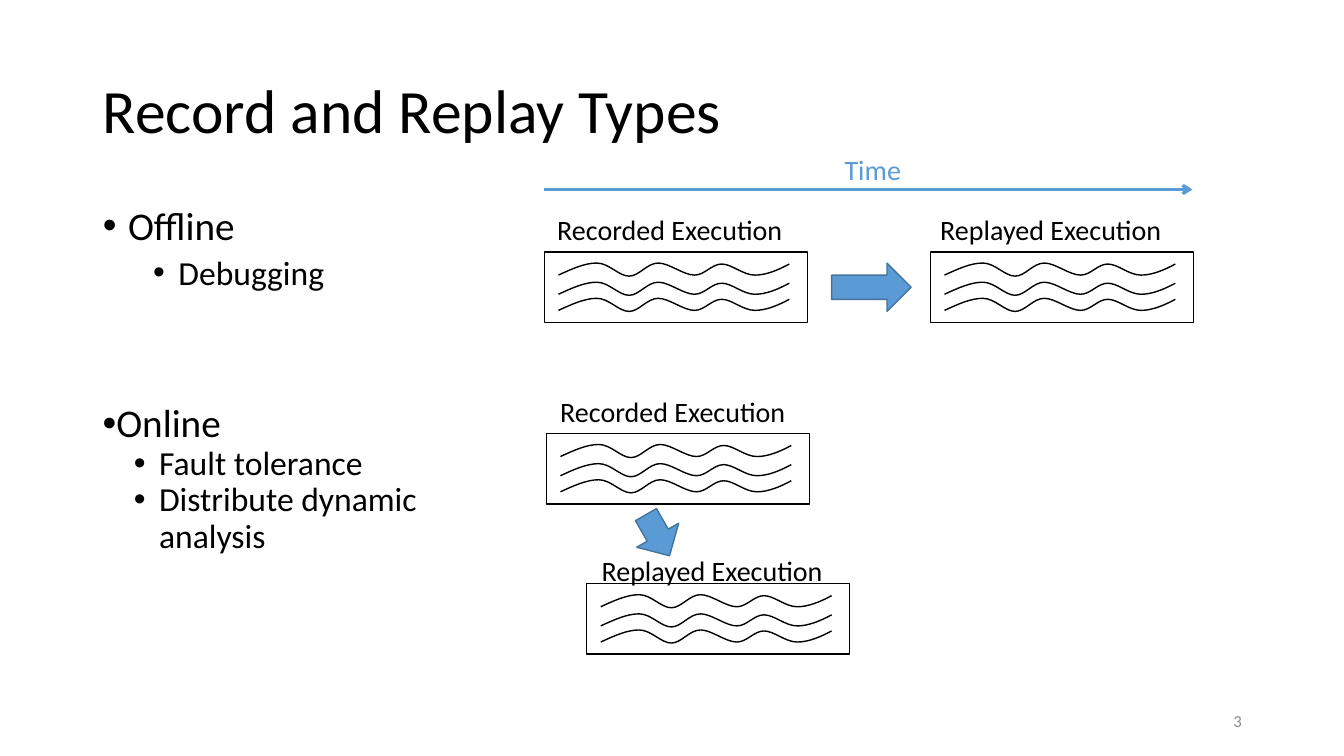
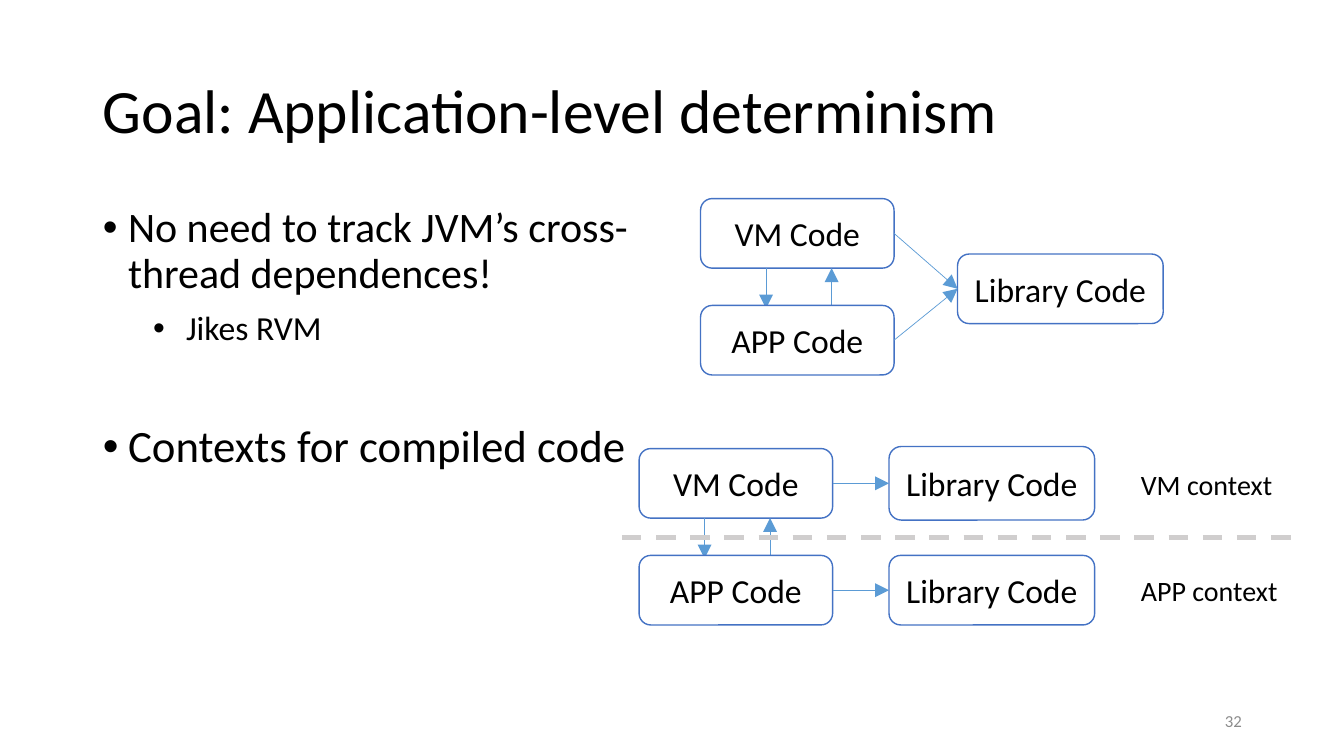
from dataclasses import dataclass
from itertools import chain
from typing import Optional

from lxml.etree import SubElement
from pptx import Presentation
from pptx.dml.color import RGBColor
from pptx.enum.dml import MSO_LINE
from pptx.enum.shapes import MSO_CONNECTOR, MSO_SHAPE
from pptx.enum.text import MSO_ANCHOR, MSO_AUTO_SIZE, PP_ALIGN
from pptx.oxml.ns import qn
from pptx.util import Inches, Pt


@dataclass(frozen=True)
class Theme:
    font: str = "Calibri"
    text: str = "000000"
    white: str = "FFFFFF"
    accent: str = "5B9BD5"
    accent_edge: str = "43739E"
    box_edge: str = "4472C4"
    divider: str = "D0CECE"
    muted: str = "8C8C8C"
    title: int = 44
    box: int = 24
    label: int = 20
    number: int = 12


@dataclass(frozen=True)
class Bullet:
    text: str
    size: int
    margin: float
    level: int = 0
    before: float = 0


@dataclass(frozen=True)
class Execution:
    label: str
    left: float
    top: float
    label_dx: float
    label_dy: float = -0.44


@dataclass(frozen=True)
class CodeBox:
    text: str
    left: float
    top: float
    width: float = 1.92
    height: float = 0.69


THEME = Theme()
# One wave: a start point, then Bezier segments, relative to its frame
WAVE_START = (0.14, 0.23)
WAVE = [
    ((0.27, 0.17), (0.40, 0.11), (0.52, 0.11)),
    ((0.64, 0.11), (0.74, 0.24), (0.84, 0.24)),
    ((0.94, 0.24), (1.02, 0.11), (1.13, 0.11)),
    ((1.24, 0.11), (1.38, 0.23), (1.49, 0.23)),
    ((1.59, 0.23), (1.66, 0.12), (1.76, 0.12)),
    ((1.86, 0.12), (1.97, 0.23), (2.09, 0.23)),
    ((2.20, 0.23), (2.32, 0.18), (2.43, 0.12)),
]
WAVE_OFFSETS = (0, 0.19, 0.35)


# Text
def add_text(p, text: str, *, size: float, color: str = THEME.text,
             align=PP_ALIGN.LEFT, spacing: Optional[float] = None) -> None:
    p.alignment = align
    if spacing:
        p.line_spacing = spacing
    r = p.add_run()
    r.text = text
    r.font.name, r.font.size = THEME.font, Pt(size)
    r.font.color.rgb = RGBColor.from_string(color)


def add_bullets(tf, bullets: list[Bullet]) -> None:
    for i, b in enumerate(bullets):
        p = tf.add_paragraph() if i else tf.paragraphs[0]
        p.level = b.level
        add_text(p, b.text, size=b.size, spacing=0.9)
        p.space_before = Pt(b.before)
        pPr = p._p.get_or_add_pPr()
        pPr.set("marL", str(Inches(b.margin)))
        pPr.set("indent", str(Inches(-0.25)))
        SubElement(pPr, qn("a:buFont")).set("typeface", "Arial")
        SubElement(pPr, qn("a:buChar")).set("char", "•")


def add_box(s, left: float, top: float, width: float, height: float):
    tf = s.shapes.add_textbox(Inches(left), Inches(top),
                              Inches(width), Inches(height)).text_frame
    tf.word_wrap = True
    return tf


def add_label(s, text: str, left: float, top: float, width: float,
              color: str = THEME.text) -> None:
    tf = add_box(s, left, top, width, 0.44)
    tf.auto_size = MSO_AUTO_SIZE.SHAPE_TO_FIT_TEXT
    add_text(tf.paragraphs[0], text, size=THEME.label, color=color)


# Shapes and lines
def add_preset(shapes, kind, left: float, top: float, width: float, height: float,
               *, edge: str, fill: Optional[str] = None):
    sp = shapes.add_shape(kind, Inches(left), Inches(top),
                          Inches(width), Inches(height))
    style_outline(sp, edge, fill)
    return sp


def style_outline(sp, edge: str, fill: Optional[str] = None) -> None:
    sp.shadow.inherit = False
    if fill:
        sp.fill.solid()
        sp.fill.fore_color.rgb = RGBColor.from_string(fill)
    else:
        sp.fill.background()
    sp.line.color.rgb = RGBColor.from_string(edge)
    sp.line.width = Pt(1)


def add_line(s, start: tuple[float, float], end: tuple[float, float], *,
             width: float = 0.5, color: str = THEME.accent,
             tip: Optional[str] = "triangle", tip_size: str = "lg",
             dashed: bool = False):
    c = s.shapes.add_connector(MSO_CONNECTOR.STRAIGHT,
                               *(Inches(v) for v in (*start, *end)))
    c.line.color.rgb = RGBColor.from_string(color)
    c.line.width = Pt(width)
    if dashed:
        c.line.dash_style = MSO_LINE.DASH
    spPr = c._element.spPr
    if tip:
        end_mark = SubElement(spPr.find(qn("a:ln")), qn("a:tailEnd"))
        for key, value in (("type", tip), ("w", tip_size), ("len", tip_size)):
            end_mark.set(key, value)
    SubElement(spPr, qn("a:effectLst"))
    return c


def link(s, source, target) -> None:
    """Join the right side of source to the left side of target."""
    c = add_line(s, (0, 0), (1, 1))
    c.begin_connect(source, 3)
    c.end_connect(target, 1)


# Parts of the diagrams
def curve_segments(sp) -> None:
    """Turn each three straight segments into one Bezier segment."""
    outline = next(sp._element.iter(qn("a:path" )))
    lines = outline.findall(qn("a:lnTo"))
    for i in range(0, len(lines), 3):
        curve = SubElement(outline, qn("a:cubicBezTo"))
        for line in lines[i:i + 3]:
            curve.append(line[0])
            outline.remove(line)


def add_wave(shapes, left: float, top: float) -> None:
    start, *rest = [(Inches(left + x), Inches(top + y))
                    for x, y in chain([WAVE_START], *WAVE)]
    builder = shapes.build_freeform(*start)
    builder.add_line_segments(rest, close=False)
    sp = builder.convert_to_shape()
    curve_segments(sp)
    style_outline(sp, THEME.text)


def add_execution(s, ex: Execution) -> None:
    shapes = s.shapes.add_group_shape().shapes
    for dy in WAVE_OFFSETS:
        add_wave(shapes, ex.left, ex.top + dy)
    add_preset(shapes, MSO_SHAPE.RECTANGLE, ex.left, ex.top, 2.61, 0.7,
               edge=THEME.text)
    add_label(s, ex.label, ex.left + ex.label_dx, ex.top + ex.label_dy, 2.47)


def add_block_arrow(s, left: float, top: float, width: float,
                    rotation: float = 0) -> None:
    sp = add_preset(s.shapes, MSO_SHAPE.RIGHT_ARROW, left, top, width, 0.48,
                    edge=THEME.accent_edge, fill=THEME.accent)
    sp.rotation = rotation


def add_code_box(s, box: CodeBox):
    sp = add_preset(s.shapes, MSO_SHAPE.ROUNDED_RECTANGLE, box.left, box.top,
                    box.width, box.height, edge=THEME.box_edge, fill=THEME.white)
    tf = sp.text_frame
    tf.vertical_anchor = MSO_ANCHOR.MIDDLE
    add_text(tf.paragraphs[0], box.text, size=THEME.box, align=PP_ALIGN.CENTER)
    return sp


def add_code_pair(s, left: float, top: float):
    """VM over APP code, with a call down and a call back up."""
    vm = add_code_box(s, CodeBox("VM Code", left, top))
    upper, lower = top + 0.69, top + 1.09
    add_line(s, (left + 0.65, upper), (left + 0.65, lower))
    add_line(s, (left + 1.3, lower), (left + 1.3, upper))
    return vm, add_code_box(s, CodeBox("APP Code", left, top + 1.06))


def add_library(s, left: float, top: float, height: float = 0.69):
    return add_code_box(s, CodeBox("Library Code", left, top, 2.04, height))


# Frame shared by the slides
def add_slide(prs, title: str, number: int, bullets: list[Bullet],
              body_size: tuple[float, float]):
    s = prs.slides.add_slide(prs.slide_layouts[1])
    frames = ((0.92, 0.4, 11.5, 1.45), (0.92, 2, *body_size))
    for ph, frame in zip(s.placeholders, frames):
        ph.left, ph.top, ph.width, ph.height = (Inches(v) for v in frame)
        ph.text_frame.word_wrap = True
        ph.text_frame.auto_size = MSO_AUTO_SIZE.NONE
    tf = s.shapes.title.text_frame
    tf.vertical_anchor = MSO_ANCHOR.MIDDLE
    add_text(tf.paragraphs[0], title, size=THEME.title, spacing=0.9)
    add_bullets(s.placeholders[1].text_frame, bullets)
    tf = add_box(s, 9.42, 6.95, 3, 0.4)
    tf.vertical_anchor = MSO_ANCHOR.MIDDLE
    add_text(tf.paragraphs[0], str(number), size=THEME.number,
             color=THEME.muted, align=PP_ALIGN.RIGHT)
    return s


def build_types(prs) -> None:
    s = add_slide(prs, "Record and Replay Types", 3, [
        Bullet("Offline", 28, 0.25, before=10),
        Bullet("Debugging", 24, 0.75, level=1, before=5),
    ], (4.14, 1.34))
    # Time axis
    add_line(s, (5.4, 1.88), (11.83, 1.88), width=2.25, tip="arrow",
             tip_size="med")
    add_label(s, "Time", 8.28, 1.46, 0.88, THEME.accent)
    # Offline and online executions
    add_block_arrow(s, 8.25, 2.61, 0.79)
    add_block_arrow(s, 6.29, 5.07, 0.47, 60.2)
    for ex in (
        Execution("Recorded Execution", 5.4, 2.5, 0.03),
        Execution("Replayed Execution", 9.23, 2.5, 0),
        Execution("Recorded Execution", 5.42, 4.3, 0.04),
        Execution("Replayed Execution", 5.82, 5.79, 0.05, -0.35),
    ):
        add_execution(s, ex)
    # Online list
    tf = add_box(s, 0.92, 3.96, 3.91, 2.04)
    tf.auto_size = MSO_AUTO_SIZE.SHAPE_TO_FIT_TEXT
    add_bullets(tf, [
        Bullet("Online", 28, 0.06),
        Bullet("Fault tolerance", 24, 0.56, level=1),
        Bullet("Distribute dynamic analysis", 24, 0.56, level=1),
    ])


def build_goal(prs) -> None:
    s = add_slide(prs, "Goal: Application-level determinism", 32, [
        Bullet("No need to track JVM’s cross-thread dependences!", 30, 0.25,
               level=1, before=10),
        Bullet(" Jikes RVM", 24, 0.75, level=2, before=10),
        Bullet("Contexts for compiled code", 32, 0.25, level=1, before=54.5),
    ], (6.16, 4.76))
    # Shared library
    vm, app = add_code_pair(s, 6.95, 1.97)
    library = add_library(s, 9.5, 2.52)
    link(s, vm, library)
    link(s, app, library)
    # One library per context
    vm, app = add_code_pair(s, 6.34, 4.45)
    link(s, vm, add_library(s, 8.82, 4.43, 0.73))
    link(s, app, add_library(s, 8.82, 5.51))
    add_line(s, (6.17, 5.33), (12.86, 5.33), width=3.5, color=THEME.divider,
             tip=None, dashed=True)
    for text, top in (("VM context", 4.59), ("APP context", 5.64)):
        add_label(s, text, 11.22, top, 1.64)


prs = Presentation()
prs.slide_width, prs.slide_height = Inches(40 / 3), Inches(7.5)
build_types(prs)
build_goal(prs)
prs.save("out.pptx")
